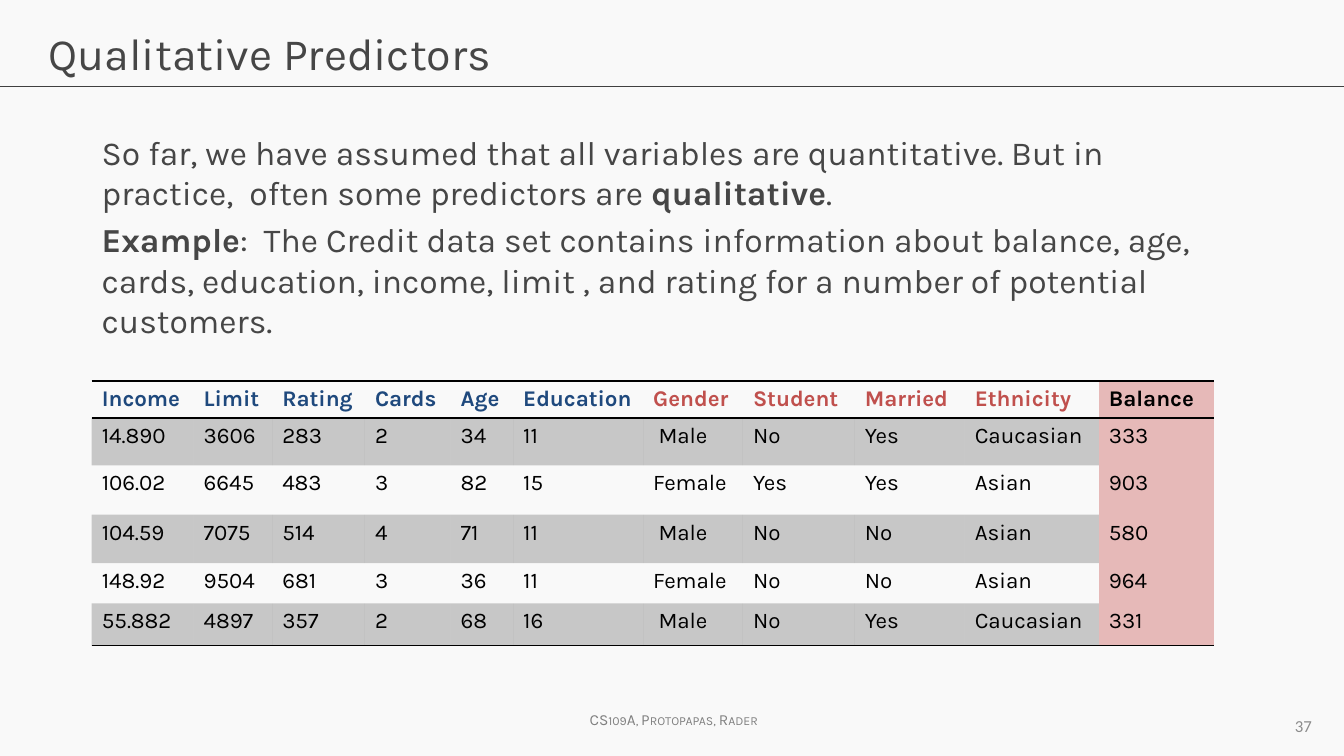
import pptx
import pptx.util
import pptx.dml.color
import pptx.enum.dml
import pptx.enum.shapes
import pptx.enum.text
import pptx.oxml.ns
from lxml import etree

WIDTH, HEIGHT = 13.33, 7.5
FONT = "Karla"
INK, BLACK, PINK = "464646", "000000", "E6B9B8"
QUANTITATIVE, QUALITATIVE = "1F497D", "C0504D"
NO_STYLE = "{2D5ABB26-0587-4C30-8999-92F81FD0307C}"

TITLE = "Qualitative Predictors"
BODY = [
    [("So far, we have assumed that all variables are quantitative. "
      "But in practice,  often some predictors are ", False),
     ("qualitative", True), (".", False)],
    [("Example", True),
     (":  The Credit data set contains information about balance, age, cards, "
      "education, income, limit , and rating for a number of potential customers.", False)],
]
FOOTER = "CS109A, Protopapas, Rader"
PAGE = "37"

# heading, heading colour, width
COLUMNS = [
    ("Income", QUANTITATIVE, 1.01), ("Limit", QUANTITATIVE, 0.78),
    ("Rating", QUANTITATIVE, 0.92), ("Cards", QUANTITATIVE, 0.85),
    ("Age", QUANTITATIVE, 0.62), ("Education", QUANTITATIVE, 1.29),
    ("Gender", QUALITATIVE, 0.99), ("Student", QUALITATIVE, 1.11),
    ("Married", QUALITATIVE, 1.09), ("Ethnicity", QUALITATIVE, 1.33),
    ("Balance", BLACK, 1.14),
]
CUSTOMERS = [
    ("14.890", "3606", "283", "2", "34", "11", " Male", "No", "Yes", "Caucasian", "333"),
    ("106.02", "6645", "483", "3", "82", "15", "Female", "Yes", "Yes", "Asian", "903"),
    ("104.59", "7075", "514", "4", "71", "11", " Male", "No", "No", "Asian", "580"),
    ("148.92", "9504", "681", "3", "36", "11", "Female", "No", "No", "Asian", "964"),
    ("55.882", "4897", "357", "2", "68", "16", " Male", "No", "Yes", "Caucasian", "331"),
]
ROW_HEIGHTS = [0.31, 0.47, 0.49, 0.48, 0.40, 0.42]

inch = pptx.util.Inches


def color(value):
    return pptx.dml.color.RGBColor.from_string(value)


def add_run(paragraph, text, size, ink, bold=False, font=FONT):
    run = paragraph.add_run()
    run.text = text
    run.font.name, run.font.size, run.font.bold = font, pptx.util.Pt(size), bold
    run.font.color.rgb = color(ink)
    return run


def add_frame(slide, left, top, width, height, wrap=True):
    frame = slide.shapes.add_textbox(*map(inch, (left, top, width, height))).text_frame
    frame.word_wrap = wrap
    return frame


def set_border(cell, side, width):
    """Draw one side of a cell ("T" or "B") in black, or hide it at zero width."""
    properties = cell._tc.get_or_add_tcPr()
    line = etree.SubElement(properties, pptx.oxml.ns.qn("a:ln" + side),
                            w=str(pptx.util.Pt(width)))
    fill = etree.SubElement(line, pptx.oxml.ns.qn("a:solidFill"))
    etree.SubElement(fill, pptx.oxml.ns.qn("a:srgbClr"), val=BLACK)


def fill_cell(cell, value, alpha=None):
    cell.fill.solid()
    cell.fill.fore_color.rgb = color(value)
    if alpha is not None:
        tint = cell._tc.tcPr.find(".//" + pptx.oxml.ns.qn("a:solidFill")
                                  + "[last()]/" + pptx.oxml.ns.qn("a:srgbClr"))
        tint = cell._tc.tcPr.findall(pptx.oxml.ns.qn("a:solidFill"))[-1][0]
        etree.SubElement(tint, pptx.oxml.ns.qn("a:alpha"), val=str(alpha * 1000))


def add_credit_table(slide):
    rows = [[heading for heading, _, _ in COLUMNS]] + CUSTOMERS
    widths = [width for _, _, width in COLUMNS]
    table = slide.shapes.add_table(
        len(rows), len(COLUMNS), inch(0.91), inch(3.78),
        inch(sum(widths)), inch(sum(ROW_HEIGHTS))).table
    table._tbl.tblPr.find(pptx.oxml.ns.qn("a:tableStyleId")).text = NO_STYLE
    table.first_row = table.horz_banding = False
    for column, width in zip(table.columns, widths):
        column.width = inch(width)
    for row, height in zip(table.rows, ROW_HEIGHTS):
        row.height = inch(height)

    last_row, balance = len(rows) - 1, len(COLUMNS) - 1
    for r, values in enumerate(rows):
        for c, value in enumerate(values):
            cell = table.cell(r, c)
            header = r == 0
            add_run(cell.text_frame.paragraphs[0], value, 16,
                    COLUMNS[c][1] if header else BLACK, header)
            if header:
                cell.vertical_anchor = pptx.enum.text.MSO_ANCHOR.MIDDLE
                set_border(cell, "T", 1)
            if r in (0, last_row):
                set_border(cell, "B", 1)
            if c == balance:
                fill_cell(cell, PINK)
            elif r % 2:
                fill_cell(cell, BLACK, alpha=20)
            else:
                cell.fill.background()


def main():
    deck = pptx.Presentation()
    deck.slide_width, deck.slide_height = inch(WIDTH), inch(HEIGHT)
    slide = deck.slides.add_slide(deck.slide_layouts[5])
    slide.background.fill.solid()
    slide.background.fill.fore_color.rgb = color("F9F9F9")

    title = slide.shapes.title
    title.left, title.top, title.width, title.height = map(inch, (0.38, 0.21, 12.57, 0.84))
    title.text_frame.vertical_anchor = pptx.enum.text.MSO_ANCHOR.TOP
    title.text_frame.auto_size = pptx.enum.text.MSO_AUTO_SIZE.NONE
    heading = title.text_frame.paragraphs[0]
    heading.alignment = pptx.enum.text.PP_ALIGN.LEFT
    add_run(heading, TITLE, 32, INK)

    rule = slide.shapes.add_connector(pptx.enum.shapes.MSO_CONNECTOR.STRAIGHT,
                                      0, inch(0.86), inch(WIDTH), inch(0.86))
    rule.line.color.rgb, rule.line.width = color("404040"), pptx.util.Pt(0.75)
    etree.SubElement(rule._element.spPr, pptx.oxml.ns.qn("a:effectLst"))

    body = add_frame(slide, 0.91, 1.26, 11.29, 2.31)
    for i, runs in enumerate(BODY):
        paragraph = body.add_paragraph() if i else body.paragraphs[0]
        if i:
            paragraph.space_before = pptx.util.Pt(4.8)
        for text, bold in runs:
            add_run(paragraph, text, 24, INK, bold)

    add_credit_table(slide)

    footer = add_frame(slide, 5.75, 7, 1.97, 0.29, wrap=False)
    credit = add_run(footer.paragraphs[0], FOOTER, 11, "808080")
    credit.font._element.set("cap", "small")

    page = add_frame(slide, 10, 7, 3.11, 0.4)
    page.vertical_anchor = pptx.enum.text.MSO_ANCHOR.MIDDLE
    page.paragraphs[0].alignment = pptx.enum.text.PP_ALIGN.RIGHT
    add_run(page.paragraphs[0], PAGE, 12, "8C8C8C", font="Calibri")

    deck.save("out.pptx")


if __name__ == "__main__":
    main()
